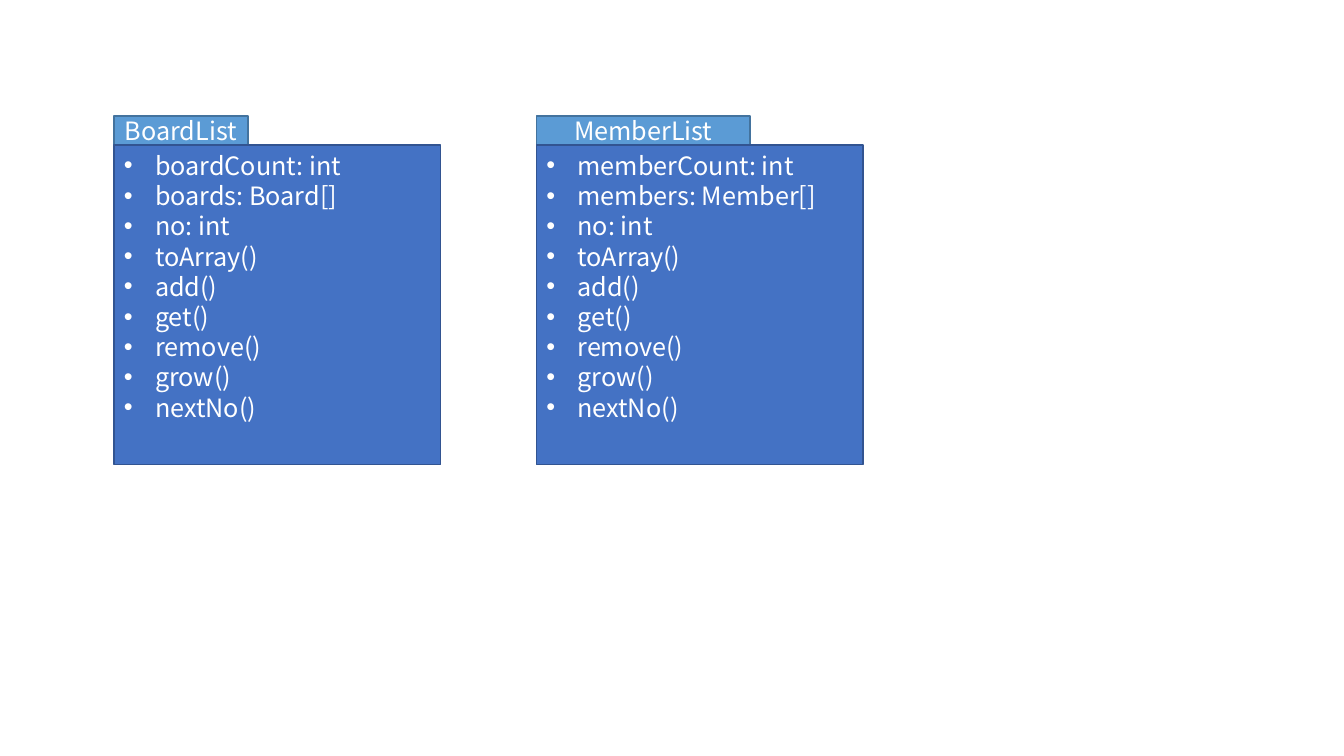
"""Build a slide with two class boxes, BoardList and MemberList."""
from lxml import etree
from pptx import Presentation
from pptx.dml.color import RGBColor
from pptx.enum.shapes import MSO_SHAPE
from pptx.enum.text import MSO_ANCHOR, PP_ALIGN
from pptx.oxml.ns import qn
from pptx.util import Inches, Pt

RECTANGLE = MSO_SHAPE.RECTANGLE
TOP, MIDDLE = MSO_ANCHOR.TOP, MSO_ANCHOR.MIDDLE
LEFT, CENTER = PP_ALIGN.LEFT, PP_ALIGN.CENTER
FONT = "Noto Sans CJK KR"
TAB_TOP, TAB_HEIGHT = 1.15, 0.29
BODY_WIDTH, BODY_HEIGHT = 3.24, 3.17
INDENT = Inches(0.31)
METHODS = ["toArray()", "add()", "get()", "remove()", "grow()", "nextNo()"]
CLASSES = [
    ("BoardList", 1.13, 1.33, ["boardCount: int", "boards: Board[]", "no: int"]),
    ("MemberList", 5.32, 2.12, ["memberCount: int", "members: Member[]", "no: int"]),
]


def paint(color_format, value):
    color_format.rgb = RGBColor.from_string(value)


def add_box(page, bounds, fill, outline, lines, anchor, alignment):
    box = page.shapes.add_shape(RECTANGLE, *[Inches(length) for length in bounds])
    box.shadow.inherit = False
    box.fill.solid()
    paint(box.fill.fore_color, fill)
    paint(box.line.color, outline)
    box.line.width = Pt(1)
    frame = box.text_frame
    frame.word_wrap = True
    frame.vertical_anchor = anchor
    frame.text = "\n".join(lines)
    for para in frame.paragraphs:
        para.alignment = alignment
        para.line_spacing = Pt(21.6)
        for span in para.runs:
            span.font.name = FONT
            span.font.size = Pt(18)
            paint(span.font.color, "FFFFFF")
    return box


deck = Presentation()
deck.slide_width, deck.slide_height = Inches(13.33), Inches(7.5)
page = deck.slides.add_slide(deck.slide_layouts[6])

for name, left, tab_width, fields in CLASSES:
    tab = add_box(page, (left, TAB_TOP, tab_width, TAB_HEIGHT),
                  "5B9BD5", "43739E", [name], MIDDLE, CENTER)
    tab.text_frame.margin_left = tab.text_frame.margin_right = 0
    body = add_box(page, (left, TAB_TOP + TAB_HEIGHT, BODY_WIDTH, BODY_HEIGHT),
                   "4472C4", "325491", fields + METHODS, TOP, LEFT)
    for para in body.text_frame.paragraphs:
        properties = para._p.get_or_add_pPr()
        properties.set("marL", str(INDENT))
        properties.set("indent", str(-INDENT))
        etree.SubElement(properties, qn("a:buFont"), typeface="Arial")
        etree.SubElement(properties, qn("a:buChar"), char="•")

deck.save("out.pptx")
